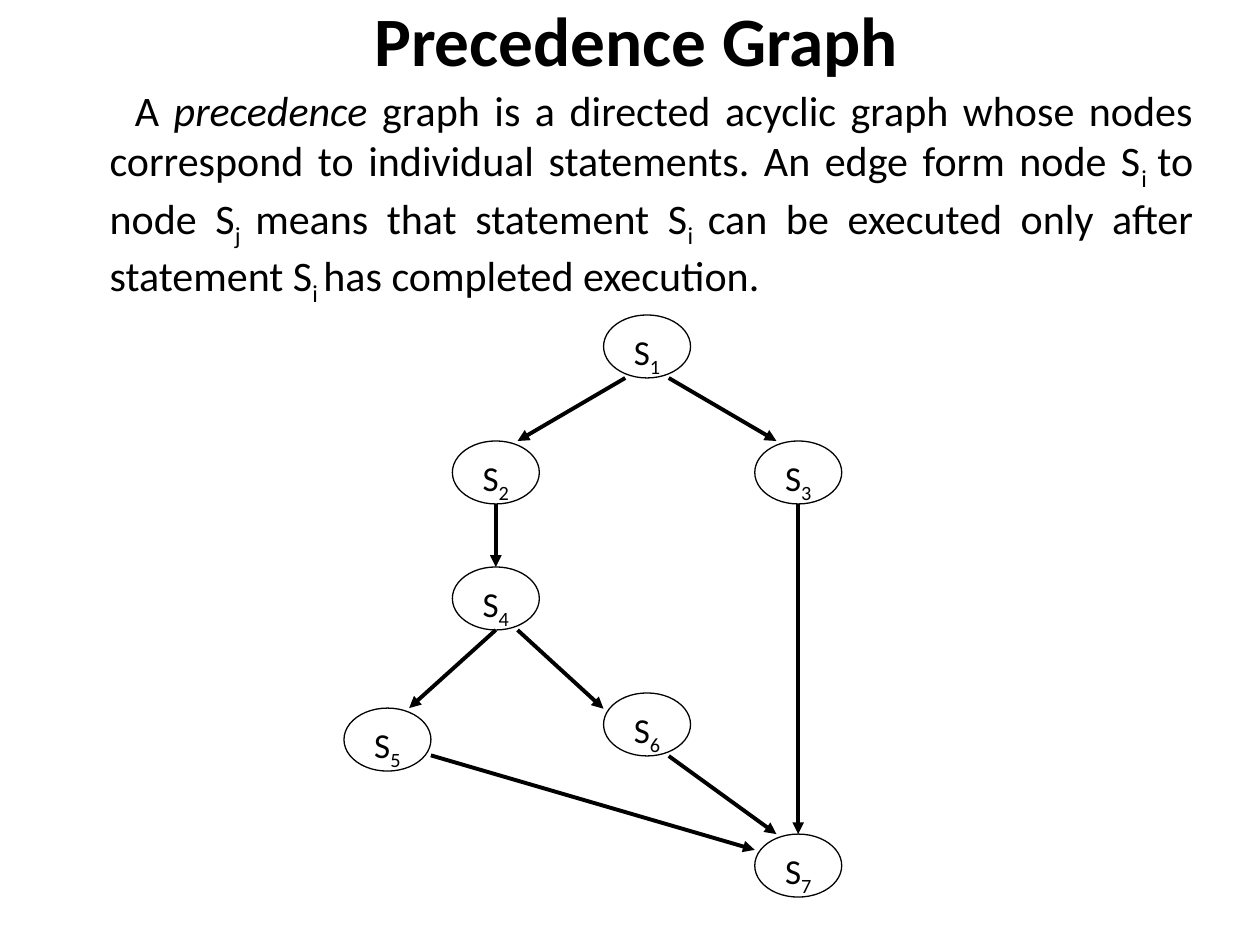
from dataclasses import dataclass

from lxml import etree
from pptx import Presentation
from pptx.dml.color import RGBColor
from pptx.enum.shapes import MSO_CONNECTOR, MSO_SHAPE
from pptx.enum.text import MSO_ANCHOR, MSO_AUTO_SIZE, PP_ALIGN
from pptx.oxml.ns import qn
from pptx.util import Inches, Pt

OVAL = MSO_SHAPE.OVAL
STRAIGHT = MSO_CONNECTOR.STRAIGHT
TOP, MIDDLE = MSO_ANCHOR.TOP, MSO_ANCHOR.MIDDLE
CENTER, JUSTIFY = PP_ALIGN.CENTER, PP_ALIGN.JUSTIFY
NO_FIT = MSO_AUTO_SIZE.NONE

FONT = "Calibri"
BLACK, WHITE = "000000", "FFFFFF"
NODE_W, NODE_H = 0.69, 0.5


@dataclass(frozen=True)
class Node:
    number: int
    x: float
    y: float

    def point(self, anchor):
        return self.x + NODE_W * anchor[0], self.y + NODE_H * anchor[1]


@dataclass(frozen=True)
class Edge:
    start: int
    start_anchor: tuple[float, float]
    end: int
    end_anchor: tuple[float, float]


NODES = {n.number: n for n in (
    Node(1, 4.79, 2.5),
    Node(2, 3.59, 3.5),
    Node(3, 5.99, 3.5),
    Node(4, 3.59, 4.5),
    Node(5, 2.73, 5.62),
    Node(6, 4.79, 5.5),
    Node(7, 5.99, 6.62),
)}

EDGES = [
    Edge(1, (0.25, 1), 2, (0.75, 0)),
    Edge(1, (0.75, 1), 3, (0.25, 0)),
    Edge(2, (0.5, 1), 4, (0.5, 0)),
    Edge(4, (0.5, 1), 5, (0.75, 0)),
    Edge(4, (0.75, 1), 6, (0, 0.25)),
    Edge(3, (0.5, 1), 7, (0.5, 0)),
    Edge(6, (0.75, 1), 7, (0.25, 0)),
    Edge(5, (1, 0.75), 7, (0, 0.25)),
]

DEFINITION = [
    ("A ", ""),
    ("precedence ", "italic"),
    ("graph is a directed acyclic graph whose nodes correspond to individual "
     "statements. An edge form node S", ""),
    ("i ", "sub"),
    ("to node S", ""),
    ("j ", "sub"),
    ("means that statement S", ""),
    ("i ", "sub"),
    ("can be executed only after statement S", ""),
    ("i ", "sub"),
    ("has completed execution.", ""),
]


def rgb(color: str) -> RGBColor:
    return RGBColor.from_string(color)


def add_run(p, text: str, size: float, style: str = "") -> None:
    r = p.add_run()
    r.text = text
    r.font.name = FONT
    r.font.size = Pt(size)
    r.font.color.rgb = rgb(BLACK)
    if style == "bold":
        r.font.bold = True
    elif style == "italic":
        r.font.italic = True
    elif style == "sub":
        r.font._element.set("baseline", "-25000")


def place(sp, x: float, y: float, w: float, h: float, anchor, align):
    sp.left, sp.top, sp.width, sp.height = map(Inches, (x, y, w, h))
    tf = sp.text_frame
    tf.word_wrap = True
    tf.auto_size = NO_FIT
    tf.vertical_anchor = anchor
    p = tf.paragraphs[0]
    p.alignment = align
    return p


def add_title(s) -> None:
    p = place(s.shapes.title, 0.55, 0, 9, 0.62, MIDDLE, CENTER)
    add_run(p, "Precedence Graph", 39.6, "bold")


def add_definition(s) -> None:
    p = place(s.placeholders[1], 0.39, 0.62, 9.18, 2.11, TOP, JUSTIFY)
    pPr = p._p.get_or_add_pPr()
    pPr.set("marL", str(Inches(0.38)))
    pPr.set("indent", str(Inches(0.2)))
    etree.SubElement(pPr, qn("a:buNone"))
    for text, style in DEFINITION:
        add_run(p, text, 24, style)


def add_node(s, node: Node) -> None:
    box = (node.x, node.y, NODE_W, NODE_H)
    sp = s.shapes.add_shape(OVAL, *map(Inches, box))
    sp.shadow.inherit = False
    sp.fill.solid()
    sp.fill.fore_color.rgb = rgb(WHITE)
    sp.line.color.rgb = rgb(BLACK)
    sp.line.width = Pt(0.75)
    p = place(sp, *box, TOP, CENTER)
    p.space_after = Pt(10)
    add_run(p, "S", 20)
    add_run(p, str(node.number), 20, "sub")


def add_edge(s, edge: Edge) -> None:
    start = NODES[edge.start].point(edge.start_anchor)
    end = NODES[edge.end].point(edge.end_anchor)
    cxn = s.shapes.add_connector(STRAIGHT, *map(Inches, start + end))
    cxn.line.color.rgb = rgb(BLACK)
    cxn.line.width = Pt(2.25)
    etree.SubElement(cxn.line._get_or_add_ln(), qn("a:tailEnd"), type="triangle")
    etree.SubElement(cxn._element.spPr, qn("a:effectLst"))


def main() -> None:
    prs = Presentation()
    prs.slide_width, prs.slide_height = Inches(10), Inches(7.5)
    s = prs.slides.add_slide(prs.slide_layouts[1])
    add_title(s)
    add_definition(s)
    for node in NODES.values():
        add_node(s, node)
    for edge in EDGES:
        add_edge(s, edge)
    prs.save("out.pptx")


if __name__ == "__main__":
    main()
